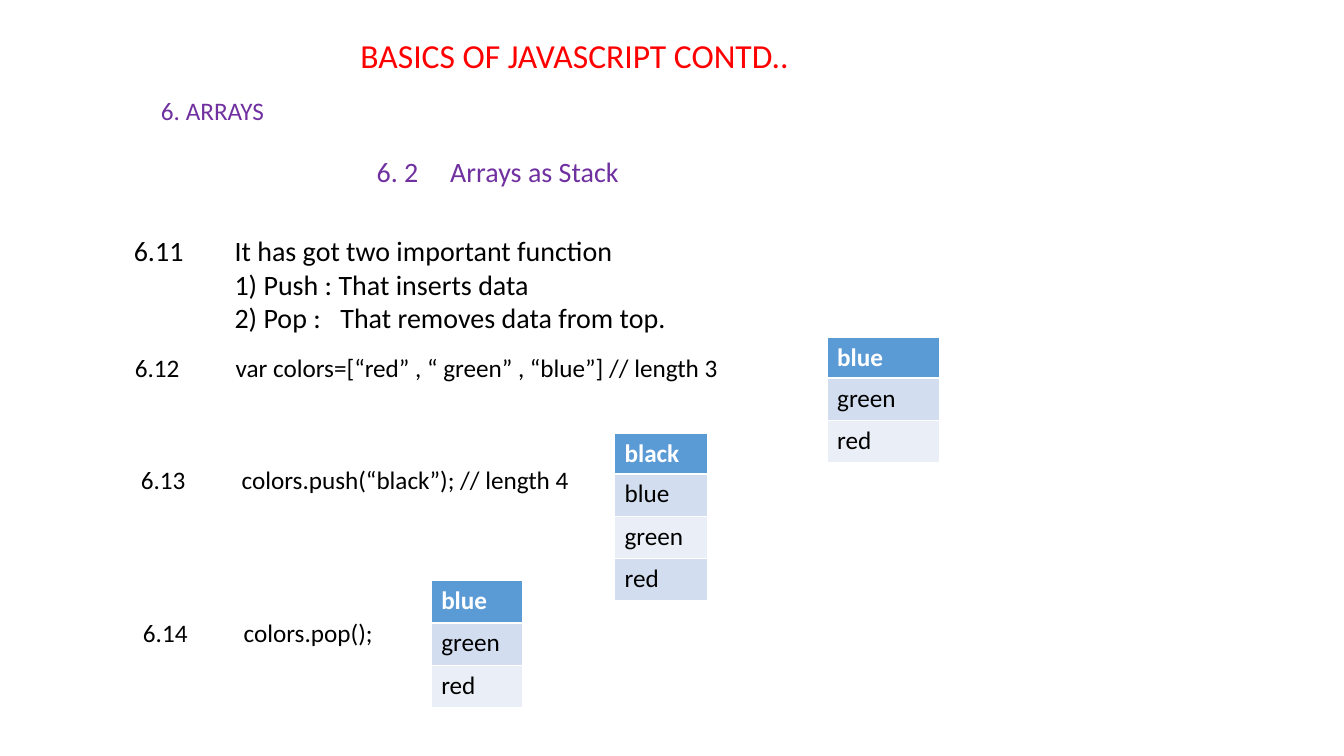
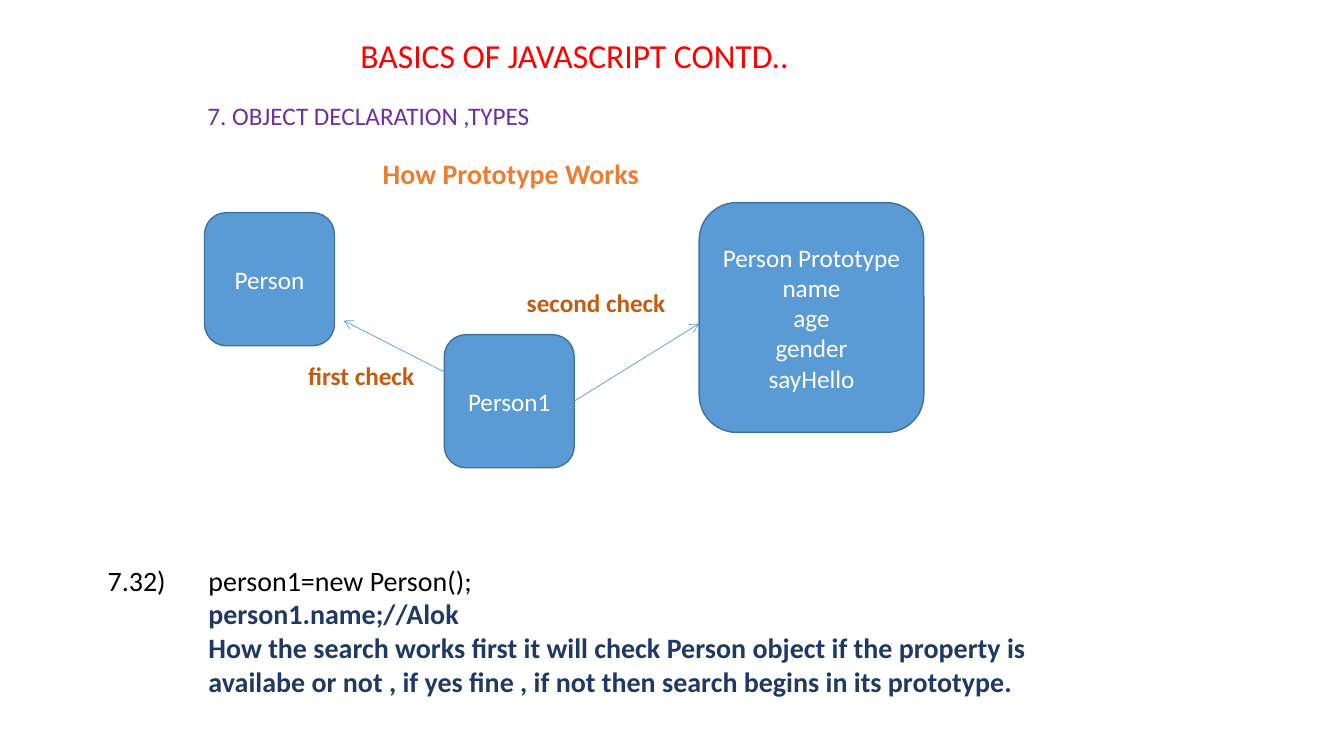
from lxml.etree import SubElement as Sub
from pptx import Presentation
from pptx.dml.color import RGBColor as RGB
from pptx.enum.shapes import MSO_CONNECTOR as Conn, MSO_SHAPE as Shape
from pptx.enum.text import MSO_ANCHOR as Anchor, PP_ALIGN as Align
from pptx.oxml.ns import qn
from pptx.util import Pt

SCALE = 9144  # EMU in one px, 100 px to the inch

BLACK = RGB(0x00, 0x00, 0x00)
WHITE = RGB(0xFF, 0xFF, 0xFF)
RED = RGB(0xFF, 0x00, 0x00)
PURPLE = RGB(0x70, 0x30, 0xA0)
ORANGE = RGB(0xED, 0x7D, 0x31)
RUST = RGB(0xC5, 0x5A, 0x11)
NAVY = RGB(0x20, 0x38, 0x64)
BLUE = RGB(0x5B, 0x9B, 0xD5)
EDGE = RGB(0x41, 0x71, 0x9C)
BANDS = RGB(0xD2, 0xDE, 0xEF), RGB(0xEA, 0xEF, 0xF7)

TITLE = "BASICS OF JAVASCRIPT CONTD.."


def px(*sizes):
    return [size * SCALE for size in sizes]


def write(frame, text, size=18, color=BLACK, bold=False, align=Align.LEFT,
          stops=()):
    """Add one paragraph per line; lines with no tab start at the first stop."""
    for line in text.split("\n"):
        para = frame.paragraphs[0]
        if para.runs:
            para = frame.add_paragraph()
        para.alignment = align
        props = para._p.get_or_add_pPr()
        if stops and "\t" in line:
            tabs = Sub(props, qn("a:tabLst"))
            for stop in px(*stops):
                Sub(tabs, qn("a:tab"), pos=str(stop), algn="l")
        elif stops:
            props.set("marL", str(stops[0] * SCALE))
            props.set("indent", "0")
        run = para.add_run()
        run.text = line
        font = run.font
        font.name, font.size, font.bold = "Calibri", Pt(size), bold
        font.color.rgb = color


class Deck:
    font_size = 18
    row = 42

    def __init__(self):
        self.file = Presentation()
        self.file.slide_width, self.file.slide_height = px(1334, 750)
        self.slide = None

    def page(self, left, top, topic):
        """Start a slide with the shared title and its topic line."""
        self.slide = self.file.slides.add_slide(self.file.slide_layouts[6])
        self.text(348, 30, 497, 50, TITLE, size=24, color=RED)
        self.text(left, top, 400, 40, topic, color=PURPLE)

    def text(self, left, top, width, height, text, **form):
        box = self.slide.shapes.add_textbox(*px(left, top, width, height))
        frame = box.text_frame
        frame.word_wrap = True
        write(frame, text, **form)
        return frame

    def item(self, left, top, width, height, text, stops=(100,), **form):
        """Numbered text: the number, then the body at the tab stop."""
        return self.text(left, top, width, height, text, stops=stops, **form)

    def stack(self, left, top, width, names, head=40):
        """One-column table with the top of the stack as its heading."""
        total = head + self.row * (len(names) - 1)
        grid = self.slide.shapes.add_table(
            len(names), 1, *px(left, top, width, total)).table
        for i, name in enumerate(names):
            grid.rows[i].height = (self.row if i else head) * SCALE
            cell = grid.cell(i, 0)
            write(cell.text_frame, name, size=self.font_size,
                  color=BLACK if i else WHITE, bold=not i)
            self.rim(cell, top=1.47 if i == 1 else 0.45,
                     base=0.45 if i else 1.47)
            cell.fill.solid()
            cell.fill.fore_color.rgb = BANDS[(i - 1) % 2] if i else BLUE

    def rim(self, cell, top, base):
        """White borders round a cell, widths in points."""
        props = cell._tc.get_or_add_tcPr()
        for side, wide in zip("LRTB", (0.45, 0.45, top, base)):
            line = Sub(props, qn("a:ln" + side), w=str(Pt(wide)))
            fill = Sub(line, qn("a:solidFill"))
            Sub(fill, qn("a:srgbClr"), val=str(WHITE))

    def node(self, left, top, width, height, text):
        shape = self.slide.shapes.add_shape(
            Shape.ROUNDED_RECTANGLE, *px(left, top, width, height))
        shape.shadow.inherit = False
        shape.fill.solid()
        shape.fill.fore_color.rgb = BLUE
        shape.line.color.rgb = EDGE
        shape.line.width = Pt(1)
        frame = shape.text_frame
        frame.word_wrap = True
        frame.vertical_anchor = Anchor.MIDDLE
        write(frame, text, size=self.font_size, color=WHITE,
              align=Align.CENTER)

    def arrow(self, *ends):
        link = self.slide.shapes.add_connector(Conn.STRAIGHT, *px(*ends))
        link.line.color.rgb = BLUE
        link.line.width = Pt(0.5)
        Sub(link.line._get_or_add_ln(), qn("a:tailEnd"), type="arrow")
        Sub(link._element.spPr, qn("a:effectLst"))


def arrays(deck):
    deck.page(150, 90, "6. ARRAYS")
    deck.text(364, 148, 441, 44, "6. 2\tArrays as Stack", size=20,
              color=PURPLE, stops=(73,))

    # Notes on the stack
    deck.item(123, 227, 1085, 110,
              "6.11\tIt has got two important function\n"
              "1) Push : That inserts data\n"
              "\t2) Pop :\tThat removes data from top.",
              stops=(100, 205), size=20)
    deck.item(124, 345, 605, 40,
              "6.12\tvar colors=[“red” , “ green” , “blue”] // length 3")
    deck.item(130, 456, 450, 40, "6.13\tcolors.push(“black”); // length 4")
    deck.item(132, 608, 252, 40, "6.14\tcolors.pop();")

    # Stack after each step
    names = ["blue", "green", "red"]
    deck.stack(821, 335, 111, names)
    deck.stack(610, 430, 92, ["black"] + names)
    deck.stack(428, 576, 90, names, head=42)


def types(deck):
    deck.page(196, 95, "7. OBJECT DECLARATION ,TYPES")
    deck.text(370, 150, 380, 44, "How Prototype Works", size=20,
              color=ORANGE, bold=True)

    # Objects and the order of the search
    deck.node(694, 201, 223, 228,
              "Person Prototype\nname\nage\ngender\nsayHello")
    deck.node(203, 211, 129, 132, "Person")
    deck.node(441, 332, 129, 132, "Person1")
    deck.arrow(443, 370, 341, 318)
    deck.arrow(570, 398, 694, 321)
    deck.text(296, 353, 130, 40, "first check", color=RUST, bold=True)
    deck.text(513, 280, 171, 40, "second check", color=RUST, bold=True)

    # How it works
    frame = deck.item(97, 554, 934, 144, "7.32)\tperson1=new Person();",
                      size=20)
    write(frame, "person1.name;//Alok\n"
          "How the search works first it will check Person object if the "
          "property is availabe or not , if yes fine , if not then search "
          "begins in its prototype.",
          size=20, color=NAVY, bold=True, stops=(100,))


def main():
    deck = Deck()
    arrays(deck)
    types(deck)
    deck.file.save("out.pptx")


if __name__ == "__main__":
    main()
